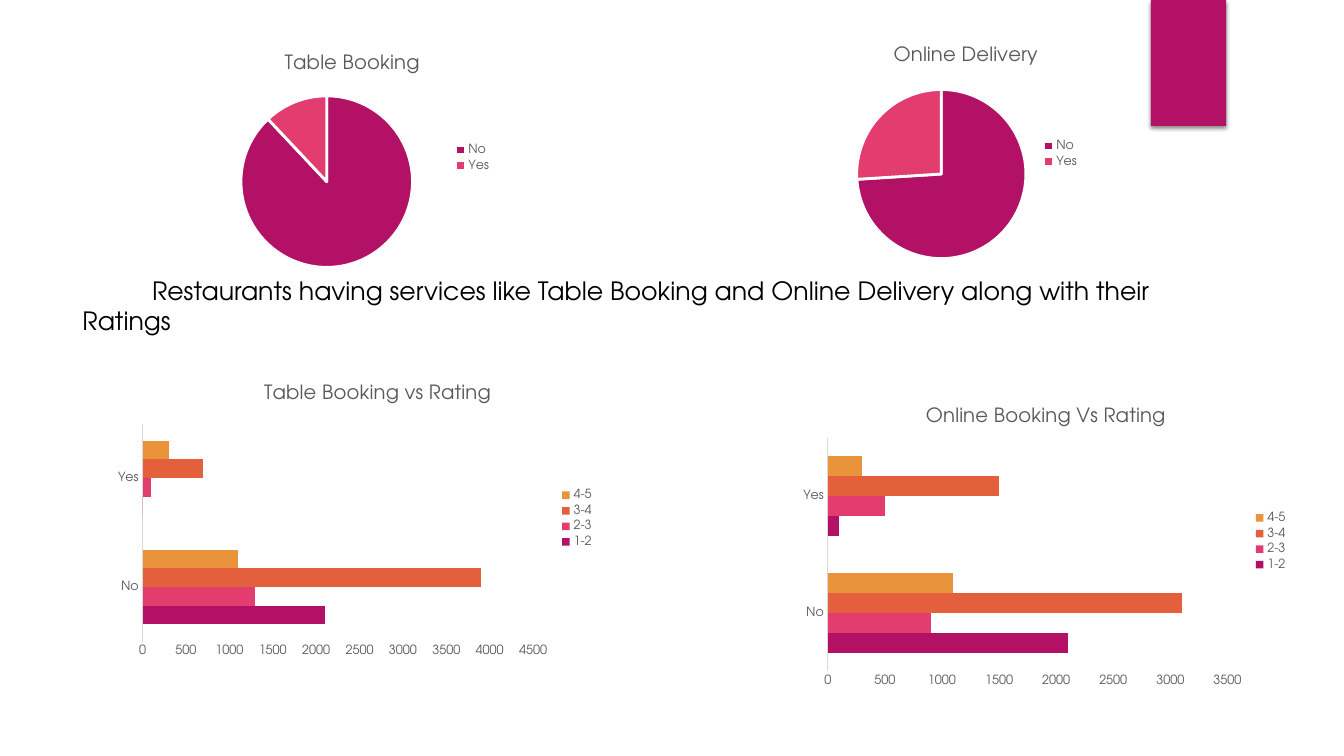
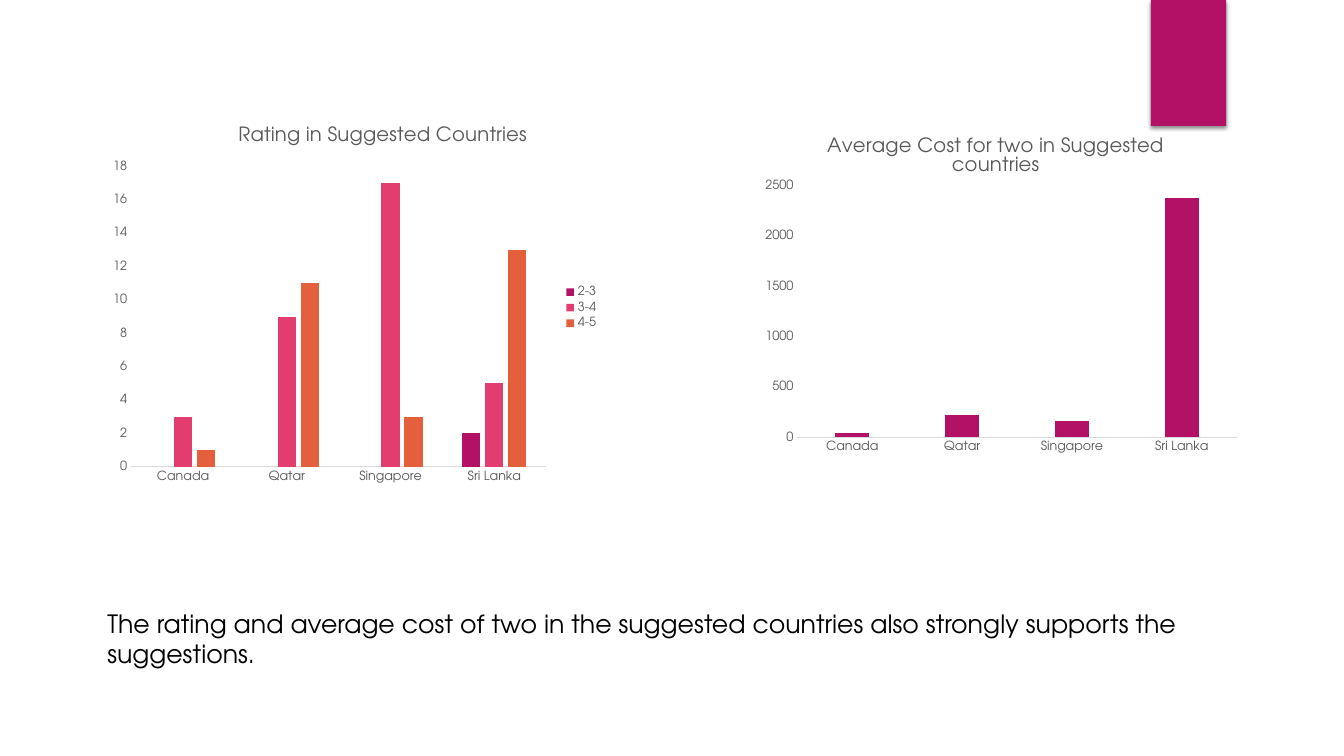
from dataclasses import dataclass
from typing import NamedTuple

from lxml.etree import SubElement
from pptx import Presentation
from pptx.chart.chart import Chart
from pptx.chart.data import CategoryChartData
from pptx.dml.color import RGBColor
from pptx.enum.chart import XL_CHART_TYPE as ChartType
from pptx.enum.chart import XL_LEGEND_POSITION as LegendPos
from pptx.enum.chart import XL_TICK_MARK as Tick
from pptx.enum.shapes import MSO_SHAPE as Preset
from pptx.enum.text import MSO_AUTO_SIZE as AutoSize
from pptx.oxml import parse_xml
from pptx.oxml.ns import nsdecls, qn
from pptx.slide import Slide
from pptx.util import Inches, Pt

FONT = "TeX Gyre Adventor"
BLACK = RGBColor(0x00, 0x00, 0x00)
WHITE = RGBColor(0xFF, 0xFF, 0xFF)
GREY = RGBColor(0x59, 0x59, 0x59)
AXIS_GREY = RGBColor(0xD9, 0xD9, 0xD9)
MAGENTA = RGBColor(0xB3, 0x11, 0x66)
PINK = RGBColor(0xE3, 0x3D, 0x6F)
ORANGE = RGBColor(0xE4, 0x5F, 0x3C)
AMBER = RGBColor(0xE9, 0x94, 0x3A)
PALETTE = (MAGENTA, PINK, ORANGE, AMBER)

WIDTH, HEIGHT = Inches(13.33), Inches(7.5)
ANSWERS = ("No", "Yes")
COUNTRIES = ("Canada", "Qatar", "Singapore", "Sri Lanka")


class Box(NamedTuple):
    """Left, top, width and height in percent of the enclosing area."""
    x: float
    y: float
    w: float
    h: float

    def on_slide(self) -> tuple[int, int, int, int]:
        return (int(self.x * WIDTH / 100), int(self.y * HEIGHT / 100),
                int(self.w * WIDTH / 100), int(self.h * HEIGHT / 100))


class Corner(NamedTuple):
    """Left and top in percent of the chart."""
    x: float
    y: float


class Scale(NamedTuple):
    top: int
    step: int


BAND = Box(85.63, 0, 5.6, 16.67)


@dataclass(frozen=True)
class ChartSpec:
    title: str
    kind: ChartType
    box: Box
    plot: Box
    cats: tuple[str, ...]
    series: dict[str, tuple]
    scale: Scale | None = None
    gap: int = 182
    overlap: int = 0
    legend: bool = True
    title_at: Corner | None = None


@dataclass(frozen=True)
class Caption:
    text: str
    box: Box
    indent: float = 0


@dataclass(frozen=True)
class Page:
    charts: tuple[ChartSpec, ...]
    caption: Caption


PAGES = (
    Page(
        (
            ChartSpec("Table Booking", ChartType.PIE,
                      Box(15.12, 5.07, 22.2, 31.6), Box(6.3, 24.1, 70.2, 71.8),
                      ANSWERS, {"Series 1": (88, 12)}),
            ChartSpec("Online Delivery", ChartType.PIE,
                      Box(62.68, 4, 18.38, 32.67), Box(5.8, 24, 68.5, 68.5),
                      ANSWERS, {"Series 1": (74, 26)}),
            ChartSpec("Table Booking vs Rating", ChartType.BAR_CLUSTERED,
                      Box(7.46, 48.6, 37.5, 40), Box(8.4, 18.6, 77.5, 72.1),
                      ANSWERS,
                      {"1-2": (2100, 0), "2-3": (1300, 100),
                       "3-4": (3900, 700), "4-5": (1100, 300)},
                      Scale(4500, 500), title_at=Corner(31.8, 3.7)),
            ChartSpec("Online Booking Vs Rating", ChartType.BAR_CLUSTERED,
                      Box(59.08, 51.6, 37.5, 40), Box(6.7, 15.9, 79.3, 77),
                      ANSWERS,
                      {"1-2": (2100, 100), "2-3": (900, 500),
                       "3-4": (3100, 1500), "4-5": (1100, 300)},
                      Scale(3500, 500)),
        ),
        Caption("Restaurants having services like Table Booking and Online "
                "Delivery along with their Ratings",
                Box(5.4, 35.73, 87, 5.33), 0.69),
    ),
    Page(
        (
            ChartSpec("Rating in Suggested Countries", ChartType.COLUMN_CLUSTERED,
                      Box(7.25, 14.77, 38.03, 51.87), Box(6.6, 14, 81.2, 76.6),
                      COUNTRIES,
                      {"2-3": (None, None, None, 2), "3-4": (3, 9, 17, 5),
                       "4-5": (1, 11, 3, 13)},
                      Scale(18, 2), 219, -27, title_at=Corner(26.9, 2.3)),
            ChartSpec("Average Cost for two in Suggested countries",
                      ChartType.COLUMN_CLUSTERED,
                      Box(55.45, 15.8, 37.28, 45.87), Box(10.4, 19.1, 87.7, 72.6),
                      COUNTRIES, {"Series 1": (40, 220, 160, 2380)},
                      Scale(2500, 500), 219, -27, False),
        ),
        Caption("The rating and average cost of two in the suggested countries "
                "also strongly supports the suggestions.",
                Box(7.25, 79.83, 85.73, 5.33)),
    ),
)


def style_font(font, size: float, color: RGBColor) -> None:
    font.name, font.size, font.bold = FONT, Pt(size), False
    font.color.rgb = color


def add_band(s: Slide) -> None:
    sp = s.shapes.add_shape(Preset.RECTANGLE, *BAND.on_slide())
    paint(sp, MAGENTA)
    sp.line.fill.background()
    sp.shadow.inherit = False
    effects = sp.element.spPr.find(qn("a:effectLst"))
    effects.append(parse_xml(
        f'<a:outerShdw {nsdecls("a")} blurRad="{Pt(3)}" dist="{Pt(2)}" '
        'dir="5400000" algn="ctr" rotWithShape="0">'
        '<a:srgbClr val="000000"><a:alpha val="45000"/></a:srgbClr>'
        '</a:outerShdw>'))


def add_caption(s: Slide, caption: Caption) -> None:
    tf = s.shapes.add_textbox(*caption.box.on_slide()).text_frame
    tf.word_wrap = True
    tf.auto_size = AutoSize.SHAPE_TO_FIT_TEXT
    p = tf.paragraphs[0]
    p.text = caption.text
    style_font(p.runs[0].font, 18, BLACK)
    if caption.indent:
        p._p.get_or_add_pPr().set("indent", str(Inches(caption.indent)))


def manual_layout(place: Box | Corner, inner: bool = False):
    layout = parse_xml(f'<c:layout {nsdecls("c")}><c:manualLayout/></c:layout>')
    settings = {"layoutTarget": "inner"} if inner else {}
    settings |= {"xMode": "edge", "yMode": "edge"}
    settings |= {k: f"{v / 100:.3f}" for k, v in place._asdict().items()}
    for tag, value in settings.items():
        SubElement(layout[0], qn(f"c:{tag}")).set("val", value)
    return layout


def drop_layout(parent) -> None:
    for old in parent.findall(qn("c:layout")):
        parent.remove(old)


def place_plot(chart: Chart, plot: Box) -> None:
    area = chart.element.find(".//" + qn("c:plotArea"))
    drop_layout(area)
    area.insert(0, manual_layout(plot, inner=True))


def place_title(chart: Chart, corner: Corner) -> None:
    title = chart.element.find(".//" + qn("c:title"))
    drop_layout(title)
    title.find(qn("c:tx")).addnext(manual_layout(corner))


def style_axes(chart: Chart, scale: Scale) -> None:
    for axis in (chart.category_axis, chart.value_axis):
        axis.has_major_gridlines = False
        axis.major_tick_mark = axis.minor_tick_mark = Tick.NONE
        style_font(axis.tick_labels.font, 9, GREY)
    line = chart.category_axis.format.line
    line.color.rgb, line.width = AXIS_GREY, Pt(0.75)
    values = chart.value_axis
    values.format.line.fill.background()
    values.minimum_scale, values.maximum_scale = 0, scale.top
    values.major_unit = scale.step


def paint(target, color: RGBColor) -> None:
    target.fill.solid()
    target.fill.fore_color.rgb = color


def add_chart(s: Slide, item: ChartSpec) -> None:
    data = CategoryChartData()
    data.categories = item.cats
    for name, values in item.series.items():
        data.add_series(name, values)
    chart = s.shapes.add_chart(item.kind, *item.box.on_slide(), data).chart
    style_font(chart.font, 10, BLACK)

    chart.has_title = True
    p = chart.chart_title.text_frame.paragraphs[0]
    p.text = item.title
    style_font(p.runs[0].font, 14, GREY)
    if item.title_at:
        place_title(chart, item.title_at)

    chart.has_legend = item.legend
    if item.legend:
        chart.legend.position = LegendPos.RIGHT
        chart.legend.include_in_layout = False
        style_font(chart.legend.font, 9, GREY)

    place_plot(chart, item.plot)
    plot = chart.plots[0]
    if item.scale is None:
        plot.vary_by_categories = True
        for i, color in enumerate(PALETTE[:len(item.cats)]):
            fmt = plot.series[0].points[i].format
            paint(fmt, color)
            fmt.line.color.rgb, fmt.line.width = WHITE, Pt(2)
    else:
        plot.vary_by_categories = False
        plot.gap_width, plot.overlap = item.gap, item.overlap
        for series, color in zip(plot.series, PALETTE):
            paint(series.format, color)
            series.invert_if_negative = False
        style_axes(chart, item.scale)


def main() -> None:
    prs = Presentation()
    prs.slide_width, prs.slide_height = WIDTH, HEIGHT
    for page in PAGES:
        s = prs.slides.add_slide(prs.slide_layouts[6])
        add_band(s)
        for item in page.charts:
            add_chart(s, item)
        add_caption(s, page.caption)
    prs.save("out.pptx")


if __name__ == "__main__":
    main()
